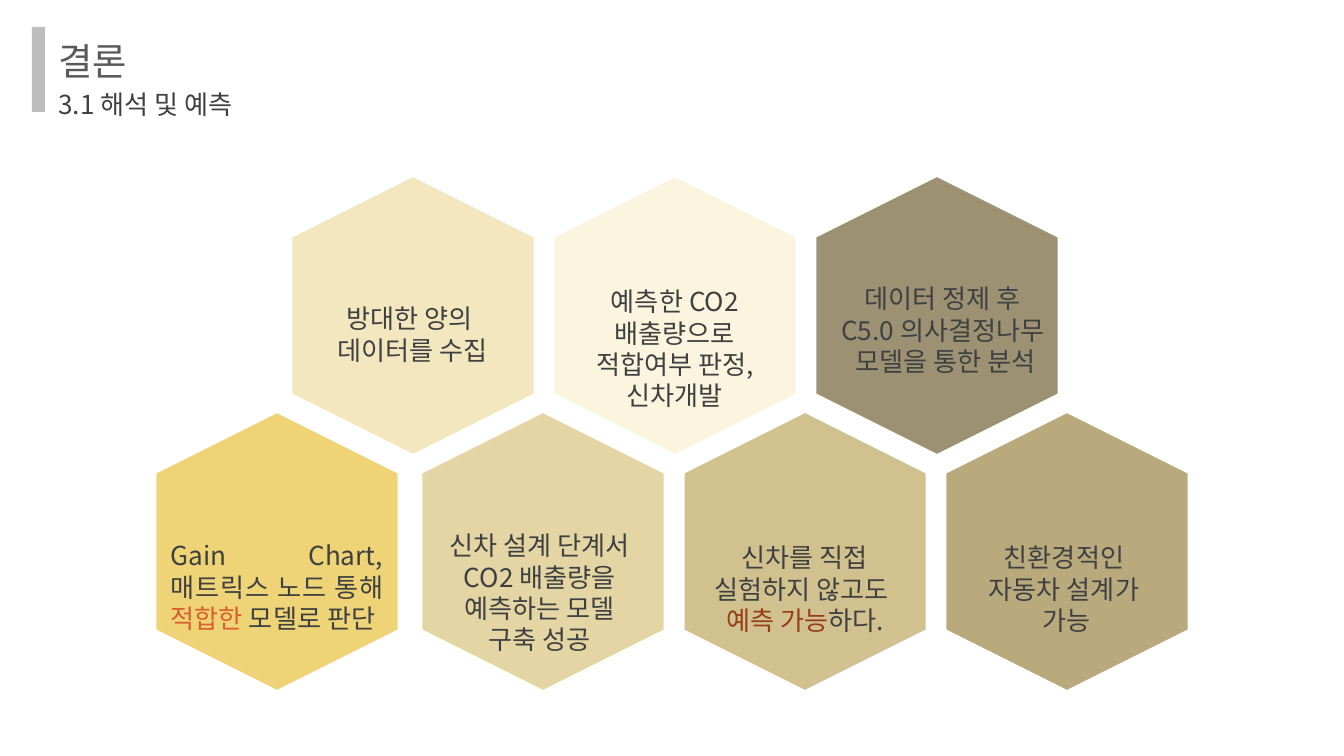
from pptx import Presentation
from pptx.dml.color import RGBColor
from pptx.enum.shapes import MSO_SHAPE as Shape
from pptx.enum.text import MSO_ANCHOR as Anchor, PP_ALIGN as Align
from pptx.oxml.ns import qn
from pptx.util import Pt
from lxml.etree import SubElement

PX = 914400 / 134.4
FONT = "Noto Sans CJK KR"
DARK = "404040"
HEX_WIDTH, HEX_HEIGHT = 279, 243
TOP_ROW, BOTTOM_ROW = 194, 430

CARDS = [
    (413, TOP_ROW, "F2E7BF", 296, ["방대한 양의 ", "데이터를 수집"], {}),
    (675, TOP_ROW, "FBF5DF", 279, ["예측한 CO2 배출량으로 적합여부 판정, 신차개발"], {}),
    (937, TOP_ROW, "9C9172", 276,
     ["데이터 정제 후 ", "C5.0 의사결정나무 ", "모델을 통한 분석"],
     {"width": 332, "shift": 9}),
    (277, BOTTOM_ROW, "EED476", 533,
     [["Gain Chart, 매트릭스 노드 통해 ", ("적합한 ", "DB5F2F"), "모델로 판단"]],
     {"width": 239, "align": Align.JUSTIFY}),
    (543, BOTTOM_ROW, "E4D5A5", 523,
     ["신차 설계 단계서 ", "CO2 배출량을 ", "예측하는 모델 ", "구축 성공 "], {}),
    (805, BOTTOM_ROW, "D1C18F", 535,
     ["신차를 직접 실험하지 않고도 ", [("예측 가능", "973D1A"), "하다."]], {}),
    (1067, BOTTOM_ROW, "B9AA7E", 535,
     ["친환경적인 ", "자동차 설계가 ", "가능"], {}),
]


def px(value):
    return round(value * PX)


def box(*lengths):
    return [px(length) for length in lengths]


def color(hex_code):
    return RGBColor.from_string(hex_code)


def write_text(shape, paragraphs, size=14, fill=DARK, align=Align.LEFT):
    frame = shape.text_frame
    frame.word_wrap = True
    frame.vertical_anchor = Anchor.TOP
    for index, parts in enumerate(paragraphs):
        paragraph = frame.add_paragraph() if index else frame.paragraphs[0]
        paragraph.alignment = align
        paragraph.space_before = Pt(0)
        paragraph.line_spacing = Pt(size * 1.2)
        for part in [parts] if isinstance(parts, str) else parts:
            text, run_color = (part, fill) if isinstance(part, str) else part
            run = paragraph.add_run()
            run.text = text
            run.font.name = FONT
            run.font.size = Pt(size)
            run.font.bold = False
            run.font.color.rgb = color(run_color)
            SubElement(run.font._element, qn("a:ea")).set("typeface", FONT)


def add_shape(slide, kind, bounds, fill, outline=None):
    shape = slide.shapes.add_shape(kind, *box(*bounds))
    shape.shadow.inherit = False
    shape.fill.solid()
    shape.fill.fore_color.rgb = color(fill)
    if outline:
        shape.line.color.rgb = color(outline)
        shape.line.width = Pt(1)
    else:
        shape.line.fill.background()
    return shape


def fill_placeholder(placeholder, bounds, text, **text_format):
    placeholder.left, placeholder.top, placeholder.width, placeholder.height = box(*bounds)
    write_text(placeholder, [text], **text_format)


def add_card(slide, center, top, fill, text_top, paragraphs,
             width=243, shift=0, align=Align.CENTER):
    bounds = (center - HEX_WIDTH / 2, top, HEX_WIDTH, HEX_HEIGHT)
    hexagon = add_shape(slide, Shape.HEXAGON, bounds, fill, outline="FFFFFF")
    hexagon.rotation = 90
    label = slide.shapes.add_textbox(
        *box(center + shift - width / 2, text_top, width, 110))
    write_text(label, paragraphs, align=align)


def main():
    presentation = Presentation()
    presentation.slide_width, presentation.slide_height = box(1344, 756)
    slide = presentation.slides.add_slide(presentation.slide_layouts[2])
    add_shape(slide, Shape.RECTANGLE, (32, 27, 13, 85), "BDBDBD")
    fill_placeholder(slide.shapes.title, (45, 31, 474, 59), "결론",
                     size=20, fill="595959")
    fill_placeholder(slide.placeholders[1], (45, 82, 474, 46), "3.1 해석 및 예측")
    for center, top, fill, text_top, paragraphs, options in CARDS:
        add_card(slide, center, top, fill, text_top, paragraphs, **options)
    presentation.save("out.pptx")


if __name__ == "__main__":
    main()
